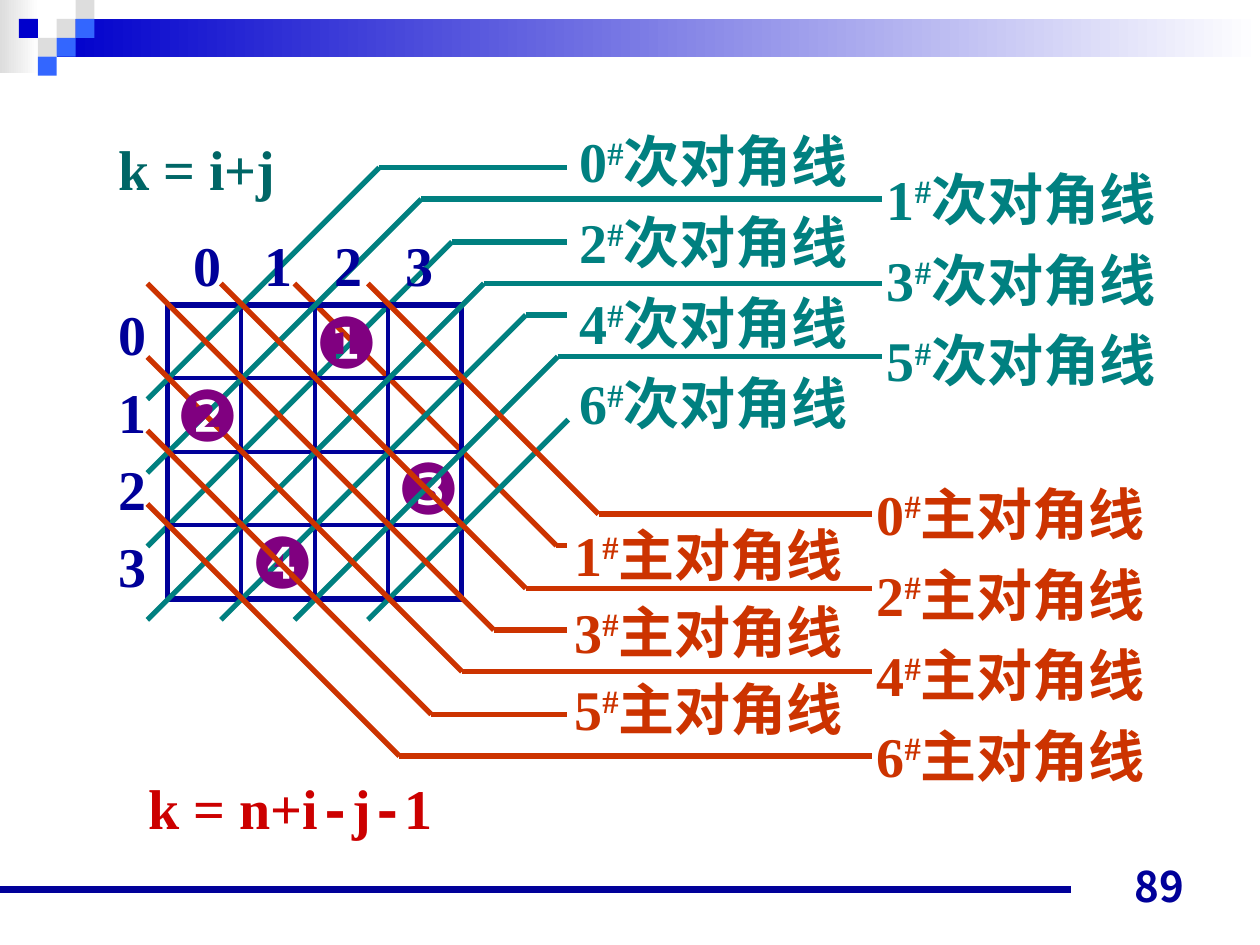
from dataclasses import dataclass

from lxml import etree
from pptx import Presentation
from pptx.dml.color import RGBColor
from pptx.enum.shapes import MSO_CONNECTOR, MSO_SHAPE
from pptx.enum.text import MSO_ANCHOR, MSO_AUTO_SIZE, PP_ALIGN
from pptx.oxml.ns import qn
from pptx.util import Inches, Pt

STRAIGHT, RECTANGLE = MSO_CONNECTOR.STRAIGHT, MSO_SHAPE.RECTANGLE
FIT_TEXT, BOTTOM, RIGHT = MSO_AUTO_SIZE.SHAPE_TO_FIT_TEXT, MSO_ANCHOR.BOTTOM, PP_ALIGN.RIGHT


@dataclass(frozen=True)
class Theme:
    navy: str = "000099"
    teal: str = "008080"
    dark_teal: str = "006666"
    orange: str = "CC3300"
    red: str = "CC0000"
    purple: str = "800080"
    blue: str = "0000CC"
    light_blue: str = "3366FF"
    grey: str = "DDDDDD"
    white: str = "FFFFFF"
    serif: str = "Times New Roman"
    mono: str = "Courier New"
    sans: str = "Arial"
    cjk: str = "Noto Sans CJK JP"
    body: int = 32
    mark: int = 40
    page: int = 24
    thin: float = 2.25
    thick: float = 3
    rule: float = 4.5


@dataclass(frozen=True)
class Run:
    text: str
    font: str
    raised: bool = False


@dataclass(frozen=True)
class Diagonal:
    start: tuple[float, float]
    bend_y: float
    end_x: float
    color: str

    @property
    def bend(self) -> tuple[float, float]:
        """The slanted part always runs at 45 degrees."""
        (x, y) = self.start
        return x + abs(self.bend_y - y), self.bend_y


@dataclass(frozen=True)
class Caption:
    box: tuple[float, float, float, float]
    numbers: range
    kind: str
    color: str
    spacing: float


T = Theme()
N = 4
CELL = 7 / 12
GRID_LEFT, GRID_TOP = 1.33, 2.42
GRID_SIZE = N * CELL
TILE = 0.15

prs = Presentation()
prs.slide_width, prs.slide_height = Inches(10), Inches(7.5)
slide = prs.slides.add_slide(prs.slide_layouts[6])
shapes = slide.shapes


def draw_line(start: tuple[float, float], end: tuple[float, float], color: str, width: float) -> None:
    line = shapes.add_connector(STRAIGHT, *(Inches(v) for v in (*start, *end)))
    line.line.color.rgb = RGBColor.from_string(color)
    line.line.width = Pt(width)
    etree.SubElement(line._element.spPr, qn("a:effectLst"))


def draw_block(box: tuple[float, float, float, float], *colors: str) -> None:
    """One colour gives a solid fill, two a left-to-right gradient."""
    block = shapes.add_shape(RECTANGLE, *(Inches(v) for v in box))
    block.shadow.inherit = False
    block.line.fill.background()
    if len(colors) == 1:
        block.fill.solid()
        block.fill.fore_color.rgb = RGBColor.from_string(colors[0])
        return
    block.fill.gradient()
    block.fill.gradient_angle = 0
    for stop, color in zip(block.fill.gradient_stops, colors):
        stop.color.rgb = RGBColor.from_string(color)


def draw_text(box: tuple[float, float, float, float], paragraphs: list[list[Run]], color: str,
              size: int = T.body, spacing: float = 1, bold: bool = True, wrap: bool = False):
    frame = shapes.add_textbox(*(Inches(v) for v in box)).text_frame
    frame.word_wrap = wrap
    frame.auto_size = FIT_TEXT
    for index, runs in enumerate(paragraphs):
        paragraph = frame.add_paragraph() if index else frame.paragraphs[0]
        paragraph.line_spacing = spacing
        for part in runs:
            run = paragraph.add_run()
            run.text = part.text
            run.font.name, run.font.size, run.font.bold = part.font, Pt(size), bold
            run.font.color.rgb = RGBColor.from_string(color)
            if part.raised:
                run.font._element.set("baseline", "30000")
    return frame


def draw_diagonal(diagonal: Diagonal) -> None:
    draw_line(diagonal.start, diagonal.bend, diagonal.color, T.thick)
    if diagonal.end_x > diagonal.bend[0]:
        draw_line(diagonal.bend, (diagonal.end_x, diagonal.bend_y), diagonal.color, T.thick)


def draw_queen(symbol: str, left: float, top: float) -> None:
    draw_text((left, top, 0.7, 0.77), [[Run(symbol, T.sans)]], T.purple, T.mark, bold=False)


def draw_caption(caption: Caption) -> None:
    rows = [[Run(str(k), T.serif), Run("#", T.serif, True), Run(caption.kind, T.serif)]
            for k in caption.numbers]
    draw_text(caption.box, rows, caption.color, spacing=caption.spacing)


# Header band, checker tiles and footer rule
draw_block((0, 0, 0.31, 0.58), T.grey, T.white)
draw_block((0.45, 0.15, 9.55, 0.3), T.blue, T.white)
for column, row, tile_color in [(3, 1, T.grey), (4, 0, T.grey), (4, 1, T.light_blue), (2, 2, T.grey),
                                (1, 1, T.blue), (3, 2, T.light_blue), (2, 3, T.light_blue)]:
    draw_block((column * TILE, row * TILE, TILE, TILE), tile_color)
draw_line((0, 7.06), (8.5, 7.06), T.navy, T.rule)

# Diagonals, numbered k = i+j (anti) and k = n+i-j-1 (main)
anti = [Diagonal((1.17 + max(k - 3, 0) * CELL, 3.17 + min(k, 3) * CELL), y, 7 if k % 2 else 4.5, T.teal)
        for k, y in enumerate([1.33, 1.58, 1.92, 2.25, 2.5, 2.83, 3.33])]
main = [Diagonal((2.92 - min(k, 3) * CELL, 2.25 + max(k - 3, 0) * CELL), y, 4.5 if k % 2 else 6.92, T.orange)
        for k, y in enumerate([4.08, 4.33, 4.67, 5, 5.33, 5.67, 6])]

# Board over the first two diagonals
draw_diagonal(main[1])
draw_diagonal(anti[2])
for i in range(N + 1):
    weight = T.thick if i in (0, N) else T.thin
    x, y = GRID_LEFT + i * CELL, GRID_TOP + i * CELL
    draw_line((GRID_LEFT, y), (GRID_LEFT + GRID_SIZE, y), T.navy, weight)
    draw_line((x, GRID_TOP), (x, GRID_TOP + GRID_SIZE), T.navy, weight)

# Queens layered among the remaining diagonals
draw_queen("❶", 2.41, 2.32)
draw_queen("❸", 3.06, 3.48)
for diagonal in anti[:2] + anti[3:] + main[::2]:
    draw_diagonal(diagonal)
draw_queen("❹", 1.9, 4.07)
for diagonal in main[3::2]:
    draw_diagonal(diagonal)
draw_queen("❷", 1.3, 2.9)

# Diagonal captions
for caption in [Caption((4.5, 0.85, 2.55, 2.66), range(0, 7, 2), "次对角线", T.teal, 1.2),
                Caption((6.94, 1.15, 2.44, 2.02), range(1, 6, 2), "次对角线", T.teal, 1.2),
                Caption((6.86, 3.65, 2.44, 2.66), range(0, 7, 2), "主对角线", T.orange, 1.2),
                Caption((4.46, 4, 2.44, 1.94), range(1, 6, 2), "主对角线", T.orange, 1.15)]:
    draw_caption(caption)

# Column and row indices
columns = draw_text((1.44, 1.78, 2.31, 0.64), [[Run("\t".join(map(str, range(N))), T.serif)]],
                    T.navy, wrap=True)
tabs = etree.SubElement(columns.paragraphs[0]._p.get_or_add_pPr(), qn("a:tabLst"))
for i in range(1, N):
    etree.SubElement(tabs, qn("a:tab"), pos=str(Inches(0.56 * i)), algn="l")
draw_text((0.84, 2.25, 0.42, 2.56), [[Run(str(i), T.serif)] for i in range(N)], T.navy, spacing=1.15)

# Formulas
draw_text((0.84, 1.02, 1.45, 0.64), [[Run("k = i+j", T.serif)]], T.dark_teal)
draw_text((1.08, 6.09, 2.45, 0.64),
          [[Run("k = n+i", T.serif), Run("-", T.mono), Run("j", T.serif), Run("-", T.mono), Run("1", T.serif)]],
          T.red)

# Page number
page = draw_text((7.17, 6.78, 2.33, 0.5), [[Run("89", T.cjk)]], T.navy, T.page, wrap=True)
page.auto_size = MSO_AUTO_SIZE.NONE
page.vertical_anchor = BOTTOM
page.paragraphs[0].alignment = RIGHT

prs.save("out.pptx")
